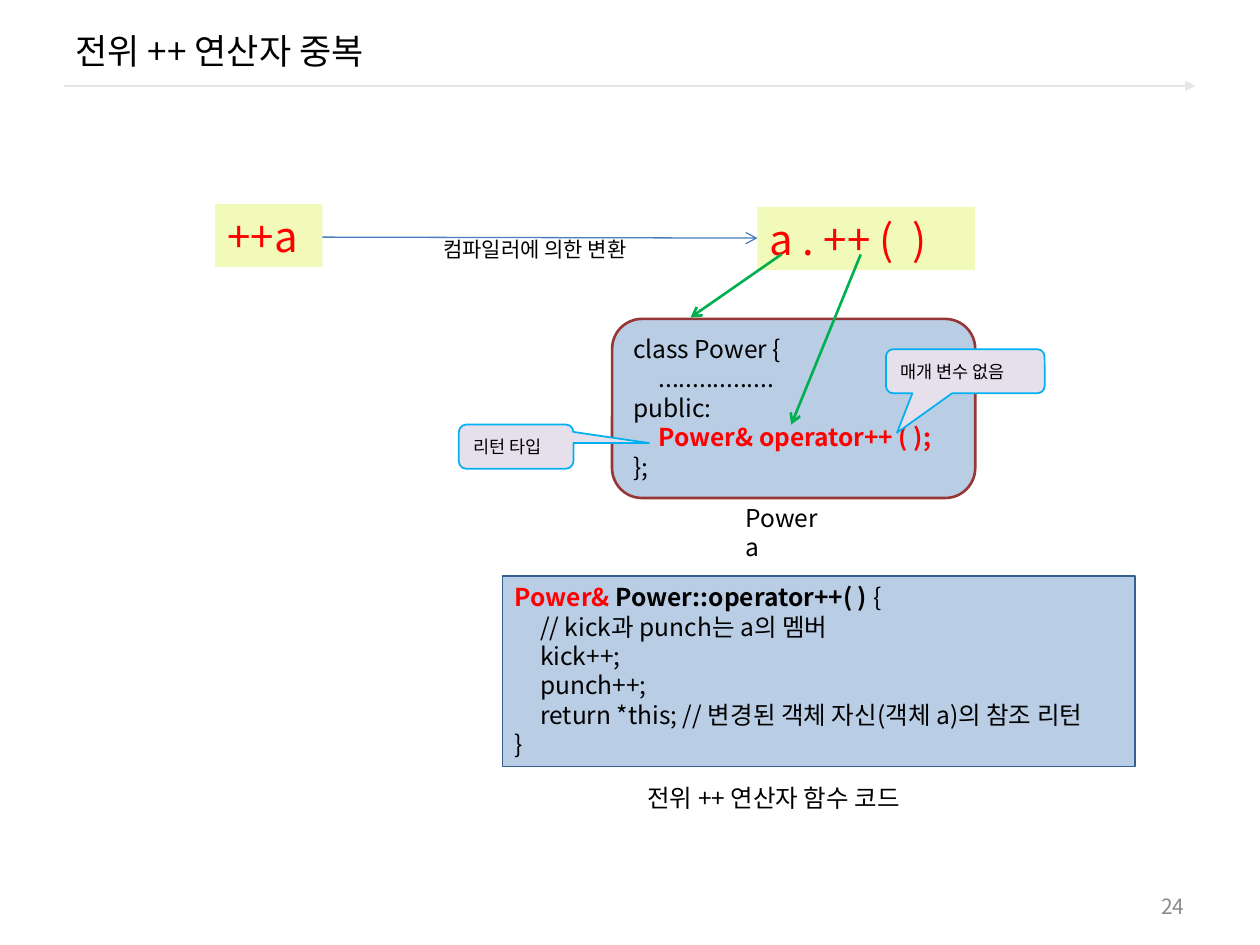
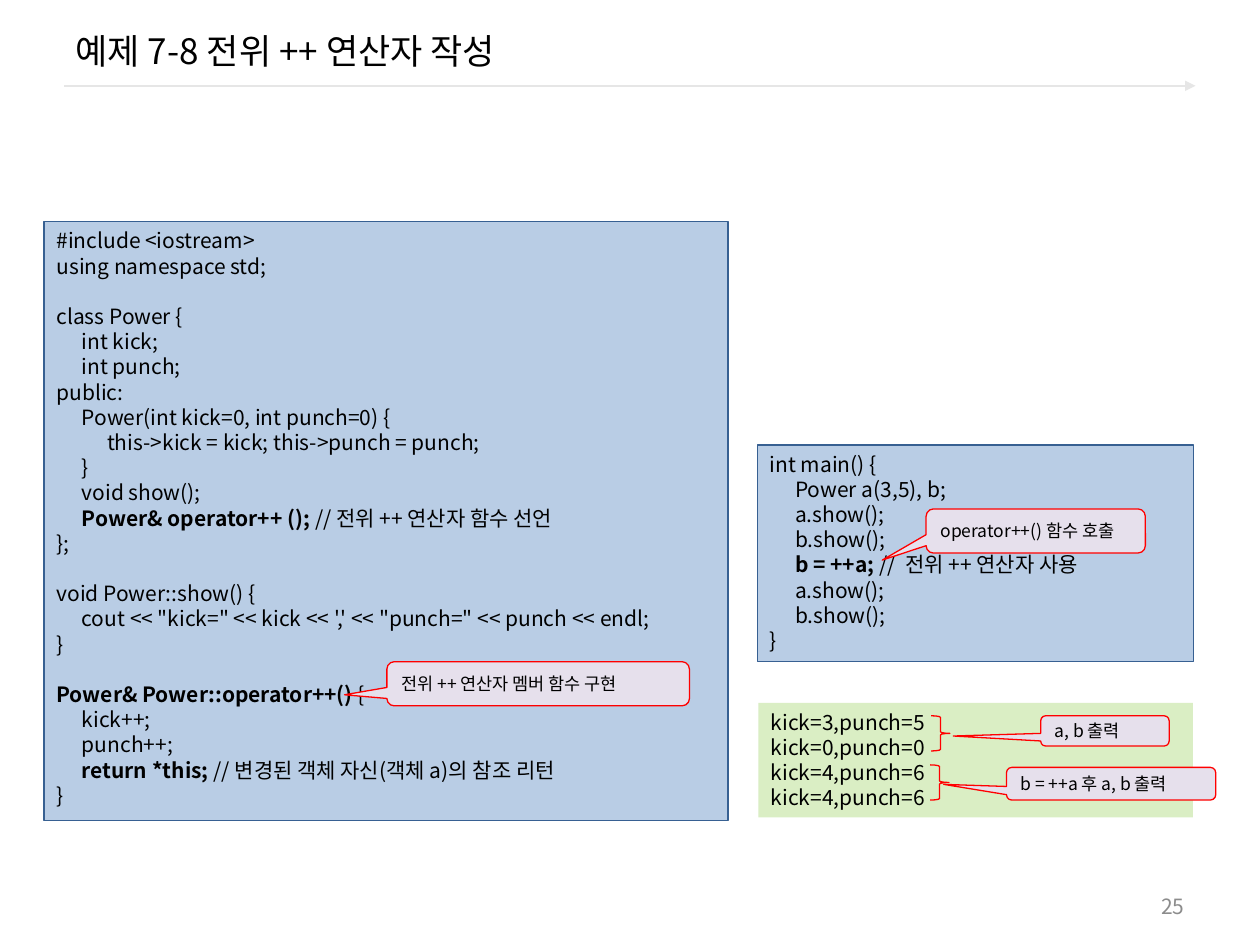
import pptx
import pptx.util
import pptx.dml.color
import pptx.enum.shapes
import pptx.enum.text
import pptx.oxml
import pptx.oxml.ns
from pptx.util import Cm

FONT = "Noto Sans CJK KR"
BLACK, RED, GREEN, SKY = "000000", "FF0000", "00B050", "00B0F0"
CODE_FILL, CODE_LINE, CLASS_LINE = "B9CDE5", "376092", "953735"
EXPRESSION_FILL, OUTPUT_FILL, CALLOUT_FILL = "F1FAB8", "DAEEC4", "E6E0EC"
RULE, NUMBER, ARROW = "E6E6E6", "8C8C8C", "4B7EBC"
LINE_HEIGHT = 1.2
TAB_STEP = 0.51

SHAPES = pptx.enum.shapes.MSO_SHAPE
MIDDLE = pptx.enum.text.MSO_ANCHOR.MIDDLE
LEFT = pptx.enum.text.PP_ALIGN.LEFT
RIGHT = pptx.enum.text.PP_ALIGN.RIGHT

POWER_CLASS = [[
    "class Power {",
    "\t.................",
    "public:",
    [("\tPower& operator++ ( );", True, RED)],
    "};",
]]
PREFIX_FUNCTION = [[
    [("Power& ", True, RED), ("Power::operator++( ) ", True, BLACK), ("{", False, BLACK)],
    "\t// kick과 punch는 a의 멤버",
    "\tkick++;",
    "\tpunch++;",
    "\treturn *this; // 변경된 객체 자신(객체 a)의 참조 리턴",
    "}",
]]
POWER_PROGRAM = [
    ["#include <iostream>", "using namespace std;"],
    [
        "class Power {",
        "\tint kick;",
        "\tint punch;",
        "public:",
        "\tPower(int kick=0, int punch=0) {",
        "\t\tthis->kick = kick; this->punch = punch;",
        "\t}",
        "\tvoid show();",
        [("\tPower& operator++ (); ", True, BLACK), ("// 전위 ++ 연산자 함수 선언", False, BLACK)],
        "};",
    ],
    [
        "void Power::show() {",
        "\tcout << \"kick=\" << kick << ',' << \"punch=\" << punch << endl;",
        "}",
    ],
    [
        [("Power& Power::operator++() ", True, BLACK), ("{", False, BLACK)],
        "\tkick++;",
        "\tpunch++;",
        [("\treturn *this; ", True, BLACK), ("// 변경된 객체 자신(객체 a)의 참조 리턴", False, BLACK)],
        "}",
    ],
]
MAIN_FUNCTION = [[
    "int main() {",
    "\tPower a(3,5), b;",
    "\ta.show();",
    "\tb.show();",
    [("\tb = ++a; ", True, BLACK), ("//  전위 ++ 연산자 사용", False, BLACK)],
    "\ta.show();",
    "\tb.show();",
    "}",
]]
OUTPUT = [["kick=3,punch=5", "kick=0,punch=0", "kick=4,punch=6", "kick=4,punch=6"]]

SLIDES = [
    {
        "title": "전위 ++ 연산자 중복",
        "number": "24",
        "panels": [
            (SHAPES.ROUNDED_RECTANGLE, (12.34, 6.43, 7.32, 3.61), CODE_FILL, (CLASS_LINE, 1.5), POWER_CLASS, 14, BLACK),
            (SHAPES.RECTANGLE, (4.34, 4.11, 2.16, 1.27), EXPRESSION_FILL, None, [["++a"]], 24, RED),
            (SHAPES.RECTANGLE, (15.27, 4.17, 4.39, 1.27), EXPRESSION_FILL, None, [["a . ++ (  )"]], 24, RED),
            (SHAPES.RECTANGLE, (10.13, 11.61, 12.75, 3.84), CODE_FILL, (CODE_LINE, 0.75), PREFIX_FUNCTION, 14, BLACK),
        ],
        "captions": [
            ((8.69, 4.65, 5.23, 0.76), "컴파일러에 의한 변환", 12),
            ((14.78, 10.01, 2.03, 1.4), "Power a", 14),
            ((12.8, 15.67, 6.4, 0.86), "전위 ++ 연산자 함수 코드", 14),
        ],
        "arrows": [
            ((6.5, 4.78, 15.27, 4.8), ARROW, 0.75),
            ((17.35, 5.13, 15.95, 8.56), GREEN, 1.5),
            ((15.75, 5.13, 13.92, 6.4), GREEN, 1.5),
        ],
        "braces": [],
        "callout_line": (SKY, 1),
        "callouts": [
            ((9.25, 8.56, 2.31, 0.89), (1.16, -0.08), "리턴 타입"),
            ((17.86, 7.04, 3.2, 0.89), (-0.43, 1.39), "매개 변수 없음"),
        ],
    },
    {
        "title": "예제 7-8 전위 ++ 연산자 작성",
        "number": "25",
        "panels": [
            (SHAPES.RECTANGLE, (0.89, 4.47, 13.79, 12.07), CODE_FILL, (CODE_LINE, 0.75), POWER_PROGRAM, 12, BLACK),
            (SHAPES.RECTANGLE, (15.27, 8.97, 8.79, 4.37), CODE_FILL, (CODE_LINE, 0.75), MAIN_FUNCTION, 12, BLACK),
            (SHAPES.RECTANGLE, (15.29, 14.17, 8.76, 2.31), OUTPUT_FILL, None, OUTPUT, 12, BLACK),
        ],
        "captions": [],
        "arrows": [],
        "braces": [(18.77, 14.43, 0.38, 0.71), (18.75, 15.42, 0.38, 0.71)],
        "callout_line": (RED, 0.75),
        "callouts": [
            ((20.98, 14.43, 2.59, 0.61), (-1.18, 0.17), "a, b 출력"),
            ((20.29, 15.47, 4.22, 0.66), (-0.8, 0.02), "b = ++a 후 a, b 출력"),
            ((7.8, 13.34, 6.1, 0.89), (-0.64, 0.25), "전위 ++ 연산자 멤버 함수 구현"),
            ((18.67, 10.26, 4.42, 0.89), (-0.7, 0.66), "operator++() 함수 호출"),
        ],
    },
]


def rgb(value):
    return pptx.dml.color.RGBColor.from_string(value)


def lengths(place):
    return [Cm(value) for value in place]


def add_element(parent, tag, **attributes):
    child = parent.makeelement(pptx.oxml.ns.qn(tag), attributes)
    parent.append(child)
    return child


def style_span(span, size, color, bold=False):
    span.font.size = pptx.util.Pt(size)
    span.font.bold = bold
    span.font.name = FONT
    span.font.color.rgb = rgb(color)
    add_element(span.font._element, "a:ea", typeface=FONT)


def set_tabs(para):
    tabs = add_element(para._p.get_or_add_pPr(), "a:tabLst")
    for stop in (1, 2):
        add_element(tabs, "a:tab", pos=str(Cm(TAB_STEP * stop)), algn="l")


def write_blocks(box, blocks, size, color, align=LEFT, anchor=None):
    frame = box.text_frame
    frame.word_wrap = True
    frame.margin_right = Cm(0.25) if align == RIGHT else 0
    frame.vertical_anchor = anchor or pptx.enum.text.MSO_ANCHOR.TOP
    line_height = pptx.util.Pt(size * LINE_HEIGHT)
    for block_index, block in enumerate(blocks):
        for line_index, line in enumerate(block):
            first = block_index == line_index == 0
            para = frame.paragraphs[0] if first else frame.add_paragraph()
            para.alignment = align
            para.line_spacing = line_height
            if block_index and not line_index:
                para.space_before = line_height
            spans = [(line, False, color)] if isinstance(line, str) else line
            if spans[0][0].startswith("\t"):
                set_tabs(para)
            for text, bold, span_color in spans:
                span = para.add_run()
                span.text = text
                style_span(span, size, span_color, bold)


def add_outlined(page, kind, place, fill, line):
    shape = page.shapes.add_shape(kind, *lengths(place))
    shape.shadow.inherit = False
    if fill:
        shape.fill.solid()
        shape.fill.fore_color.rgb = rgb(fill)
    else:
        shape.fill.background()
    if line:
        shape.line.color.rgb = rgb(line[0])
        shape.line.width = pptx.util.Pt(line[1])
    else:
        shape.line.fill.background()
    return shape


def add_arrow(page, ends, color, width, head="arrow"):
    straight = pptx.enum.shapes.MSO_CONNECTOR.STRAIGHT
    arrow = page.shapes.add_connector(straight, *lengths(ends))
    arrow.line.color.rgb = rgb(color)
    arrow.line.width = pptx.util.Pt(width)
    add_element(arrow.line._get_or_add_ln(), "a:tailEnd", type=head)
    add_element(arrow._element.spPr, "a:effectLst")


def add_text(page, place, text, size, color=BLACK, **layout):
    box = page.shapes.add_textbox(*lengths(place))
    write_blocks(box, [[text]], size, color, **layout)


def add_callout(page, place, pointer, text, line):
    callout = add_outlined(page, SHAPES.ROUNDED_RECTANGULAR_CALLOUT, place, CALLOUT_FILL, line)
    callout.adjustments[0], callout.adjustments[1] = pointer
    write_blocks(callout, [[text]], 10, BLACK, anchor=MIDDLE)


def add_frame(page, title, number):
    add_arrow(page, (1.3, 1.73, 24.1, 1.73), RULE, 1.5, "triangle")
    heading = page.shapes.title
    heading.left, heading.top, heading.width, heading.height = lengths((1.27, 0.2, 22.86, 1.63))
    heading.text_frame.text = title
    heading.text_frame.vertical_anchor = MIDDLE
    para = heading.text_frame.paragraphs[0]
    para.alignment = LEFT
    style_span(para.runs[0], 20, BLACK)
    add_text(page, (18.21, 17.86, 5.92, 0.81), number, 12, NUMBER, align=RIGHT, anchor=MIDDLE)


def build_page(deck, content):
    page = deck.slides.add_slide(deck.slide_layouts.get_by_name("Title Only"))
    add_frame(page, content["title"], content["number"])
    for kind, place, fill, line, blocks, size, color in content["panels"]:
        write_blocks(add_outlined(page, kind, place, fill, line), blocks, size, color)
    for place, text, size in content["captions"]:
        add_text(page, place, text, size)
    for ends, color, width in content["arrows"]:
        add_arrow(page, ends, color, width)
    for place in content["braces"]:
        add_outlined(page, SHAPES.RIGHT_BRACE, place, None, content["callout_line"])
    for place, pointer, text in content["callouts"]:
        add_callout(page, place, pointer, text, content["callout_line"])


def main():
    deck = pptx.Presentation()
    deck.slide_width, deck.slide_height = Cm(25.4), Cm(19.05)
    for content in SLIDES:
        build_page(deck, content)
    deck.save("out.pptx")


if __name__ == "__main__":
    main()
